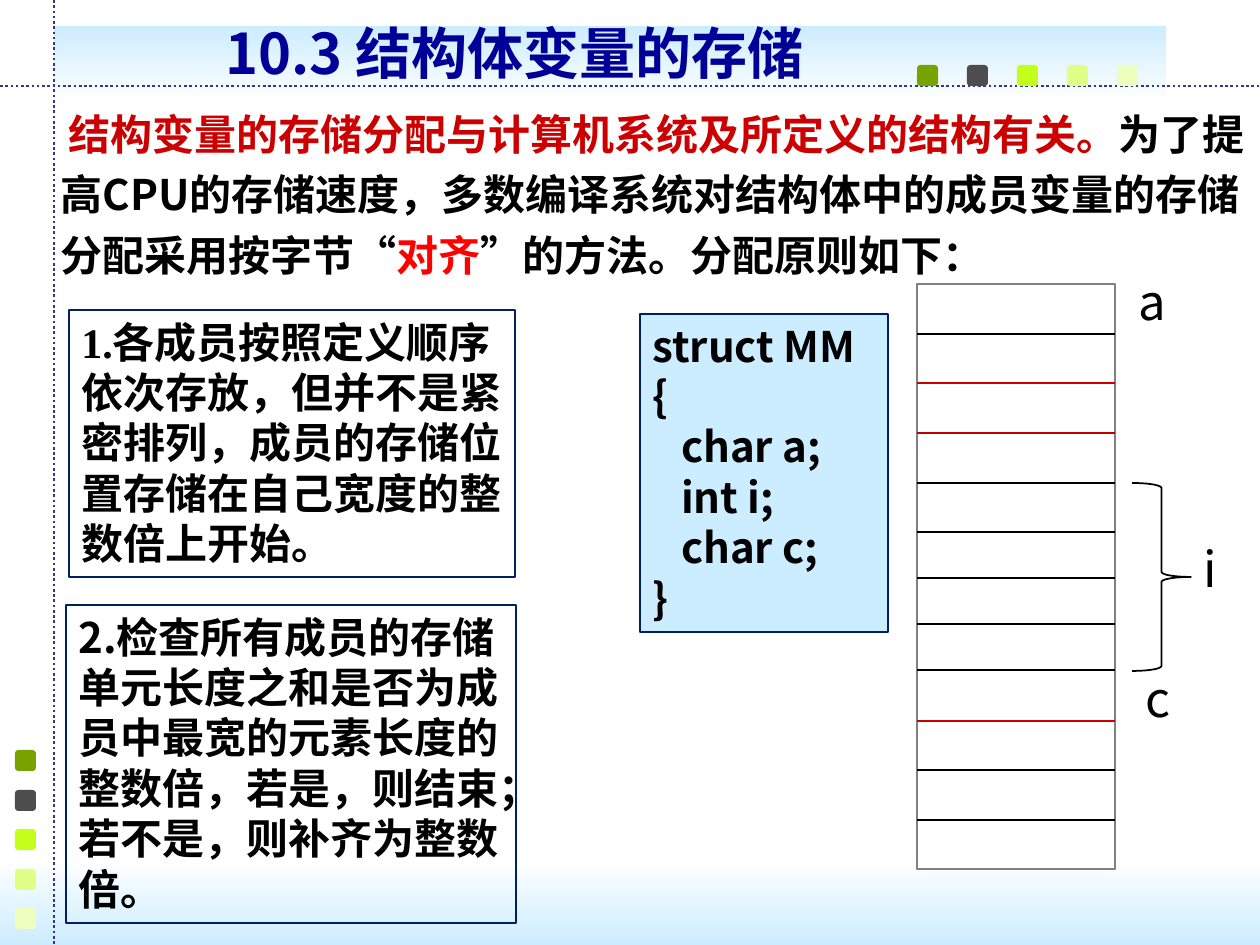
import dataclasses
import itertools

import lxml.etree
import pptx
import pptx.dml.color
import pptx.enum.dml
import pptx.enum.shapes
import pptx.enum.text
import pptx.oxml.ns
import pptx.util

SHAPE = pptx.enum.shapes.MSO_SHAPE
qn = pptx.oxml.ns.qn


@dataclasses.dataclass(frozen=True)
class Theme:
    font: str = "Noto Sans CJK SC"
    serif: str = "Times New Roman"
    title_size: int = 32
    body_size: int = 24
    label_size: int = 28
    leading: float = 1.2
    black: str = "000000"
    white: str = "FFFFFF"
    sky: str = "CCECFF"
    title: str = "000099"
    crimson: str = "CC0000"
    dark_red: str = "C00000"
    red: str = "FF0000"
    guide: str = "333399"
    border: str = "002060"
    gray: str = "808080"
    squares: tuple = ("78A200", "4D4D4D", "C3FF1B", "E0FF87", "EEFFBD")


def px(n):
    return pptx.util.Emu(round(n * 914400 / 126))


def rgb(value):
    return pptx.dml.color.RGBColor.from_string(value)


class SlideBuilder:
    def __init__(self, prs, theme):
        self.theme = theme
        self.slide = prs.slides.add_slide(prs.slide_layouts[1])
        self.shapes = self.slide.shapes

    def shape(self, kind, box, fill=None, line=None, width=1):
        sp = self.shapes.add_shape(kind, *map(px, box))
        sp.shadow.inherit = False
        if fill:
            sp.fill.solid()
            sp.fill.fore_color.rgb = rgb(fill)
        else:
            sp.fill.background()
        if line:
            sp.line.color.rgb = rgb(line)
            sp.line.width = pptx.util.Pt(width)
        else:
            sp.line.fill.background()
        return sp

    def band(self, box, top, bottom):
        sp = self.shape(SHAPE.RECTANGLE, box)
        sp.fill.gradient()
        sp.fill.gradient_angle = 270
        for stop, color in zip(sp.fill.gradient_stops, (top, bottom)):
            stop.color.rgb = rgb(color)

    def squares(self, left, top, dx, dy):
        for i, color in enumerate(self.theme.squares):
            box = (left + round(dx * i), top + round(dy * i), 21, 21)
            self.shape(SHAPE.ROUNDED_RECTANGLE, box, color)

    def line(self, start, end, color, width=1, dash=None):
        cxn = self.shapes.add_connector(
            pptx.enum.shapes.MSO_CONNECTOR.STRAIGHT, *map(px, start + end))
        cxn.line.color.rgb = rgb(color)
        cxn.line.width = pptx.util.Pt(width)
        cxn.line.dash_style = dash
        lxml.etree.SubElement(cxn._element.spPr, qn("a:effectLst"))

    def frame(self, sp):
        tf = sp.text_frame
        tf.word_wrap = True
        tf.auto_size = pptx.enum.text.MSO_AUTO_SIZE.NONE
        tf.vertical_anchor = pptx.enum.text.MSO_ANCHOR.TOP
        return tf

    def format(self, tf, size, bold=True, spacing=1, colors=None, latin=None):
        for p in tf.paragraphs:
            p.alignment = pptx.enum.text.PP_ALIGN.LEFT
            p.space_before = pptx.util.Pt(0)
            p.line_spacing = pptx.util.Pt(size * self.theme.leading * spacing)
            shades = colors or itertools.repeat(self.theme.black)
            for r, color in zip(p.runs, shades):
                r.font.size = pptx.util.Pt(size)
                r.font.bold = bold
                r.font.color.rgb = rgb(color)
                r.font.name = latin or self.theme.font
                ea = lxml.etree.SubElement(r._r.get_or_add_rPr(), qn("a:ea"))
                ea.set("typeface", self.theme.font)

    def placeholder(self, sp, box):
        sp.left, sp.top, sp.width, sp.height = map(px, box)
        self.shapes._spTree.append(sp._element)
        return self.frame(sp)

    def title(self, text, box):
        tf = self.placeholder(self.shapes.title, box)
        tf.text = text
        self.format(tf, self.theme.title_size, spacing=0.8,
                    colors=[self.theme.title])

    def body(self, parts, box, margin, indent):
        tf = self.placeholder(self.slide.placeholders[1], box)
        p = tf.paragraphs[0]
        pPr = p._p.get_or_add_pPr()
        pPr.set("marL", str(px(margin)))
        pPr.set("indent", str(px(indent)))
        lxml.etree.SubElement(pPr, qn("a:buNone"))
        for text, _ in parts:
            p.add_run().text = text
        self.format(tf, self.theme.body_size, spacing=1.2,
                    colors=[color for _, color in parts])

    def panel(self, text, box, fill=None, latin=None):
        sp = self.shape(SHAPE.RECTANGLE, box, fill, self.theme.border, 0.75)
        tf = self.frame(sp)
        tf.text = text
        self.format(tf, self.theme.body_size, latin=latin)

    def label(self, text, left, top):
        tf = self.frame(self.shapes.add_textbox(*map(px, (left, top, 79, 72))))
        tf.text = text
        self.format(tf, self.theme.label_size, bold=False)

    def memory(self, left, top, width, rows, line_colors):
        box = (left, top, width, sum(rows))
        self.shape(SHAPE.RECTANGLE, box, self.theme.white, self.theme.gray)
        edges = itertools.accumulate(rows[:-1], initial=top)
        for i, y in enumerate(itertools.islice(edges, 1, None), 1):
            color = line_colors.get(i, self.theme.black)
            self.line((left, y), (left + width, y), color)


def main():
    prs = pptx.Presentation()
    prs.slide_width, prs.slide_height = px(1260), px(945)
    t = Theme()
    s = SlideBuilder(prs, t)
    dots = pptx.enum.dml.MSO_LINE.ROUND_DOT

    s.band((54, 26, 1112, 76), t.sky, t.white)
    s.band((0, 859, 1260, 86), t.white, t.sky)
    s.line((0, 86), (1260, 86), t.guide, 1.5, dots)
    s.squares(917, 65, 50, 0)
    s.squares(15, 750, 0, 39.6)
    s.line((54, 0), (54, 945), t.guide, 1.5, dots)

    s.body([
        ("结构变量的存储分配与计算机系统及所定义的结构有关。", t.crimson),
        ("为了提高CPU的存储速度，多数编译系统对结构体中的成员变量的"
         "存储分配采用按字节“", t.black),
        ("对齐", t.red),
        ("”的方法。分配原则如下：", t.black),
    ], (-54, 92, 1314, 171), margin=102, indent=8)
    s.title("10.3 结构体变量的存储", (213, 26, 922, 67))

    s.panel("1.各成员按照定义顺序依次存放，但并不是紧密排列，"
            "成员的存储位置存储在自己宽度的整数倍上开始。",
            (69, 310, 446, 267), latin=t.serif)
    s.panel("2.检查所有成员的存储单元长度之和是否为成员中最宽的元素长度的"
            "整数倍，若是，则结束；若不是，则补齐为整数倍。",
            (66, 605, 450, 318))
    s.panel("struct MM\n{\n   char a;\n   int i;\n   char c;\n}",
            (640, 314, 248, 318), t.sky)

    s.memory(917, 284, 198, [50, 49, 50, 50, 49, 46, 46, 46, 51, 49, 50, 49],
             {2: t.crimson, 3: t.dark_red, 9: t.crimson})
    s.shape(SHAPE.RIGHT_BRACE, (1132, 483, 59, 188), t.white, t.black)
    s.label("a", 1126, 265)
    s.label("c", 1133, 662)
    s.label("i", 1191, 532)

    prs.save("out.pptx")


if __name__ == "__main__":
    main()
